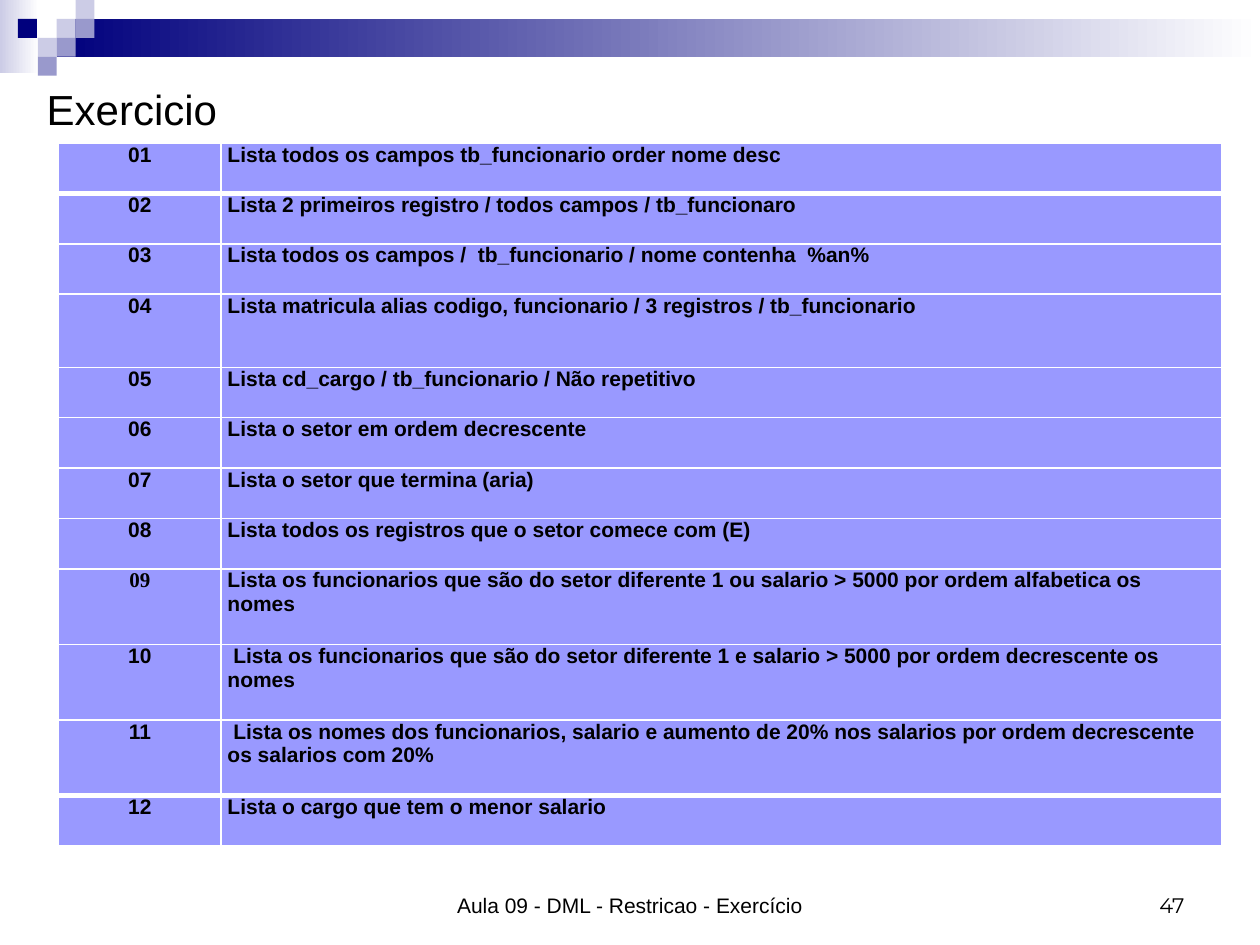
"""Builds the SQL exercise slide: header ornament, title, exercise table and footer."""
from lxml import etree
from pptx import Presentation
from pptx.dml.color import RGBColor
from pptx.enum import shapes, text
from pptx.oxml import ns
from pptx.util import Pt

COLORS = {"navy": "00007D", "pale": "CCCCE6", "mid": "9999CC",
          "cell": "9999FF", "white": "FFFFFF", "ink": "000000"}

TITLE = "Exercicio"
FOOTER = "Aula 09 - DML - Restricao - Exercício"
PAGE = "47"

LOW, MEDIUM, TALL = 28.8, 41.8, 43.2
EXERCISES = [
    ("Lista todos os campos tb_funcionario order nome desc", LOW),
    ("Lista 2 primeiros registro / todos campos / tb_funcionaro", LOW),
    ("Lista todos os campos /  tb_funcionario / nome contenha  %an%", LOW),
    ("Lista matricula alias codigo, funcionario / 3 registros / tb_funcionario", MEDIUM),
    ("Lista cd_cargo / tb_funcionario / Não repetitivo", LOW),
    ("Lista o setor em ordem decrescente", LOW),
    ("Lista o setor que termina (aria)", LOW),
    ("Lista todos os registros que o setor comece com (E)", LOW),
    ("Lista os funcionarios que são do setor diferente 1 ou salario > 5000 "
     "por ordem alfabetica os nomes", TALL),
    (" Lista os funcionarios que são do setor diferente 1 e salario > 5000 "
     "por ordem decrescente os nomes", TALL),
    (" Lista os nomes dos funcionarios, salario e aumento de 20% nos salarios "
     "por ordem decrescente os salarios com 20%", TALL),
    ("Lista o cargo que tem o menor salario", LOW),
]
SERIF_NUMBERS = {"09"}
COLUMNS = (92.9, 571.7)
THICK_RULES = {1, len(EXERCISES) - 1}

SQUARE = 10.8
BANDS = [((0, 0, 22.3, 41.8), "pale"), ((32.4, 10.8, 687.6, 21.6), "navy")]
SQUARES = [(3, 1, "pale"), (4, 0, "pale"), (4, 1, "mid"), (2, 2, "pale"),
           (0.95, 1, "navy"), (3, 2, "mid"), (2, 3, "mid")]


def rgb(name):
    return RGBColor.from_string(COLORS[name])


def write(tf, content, size=12, font="Arial", bold=False, align="LEFT",
          anchor="TOP", insets=(7.2, 3.6)):
    tf.word_wrap = True
    tf.auto_size = text.MSO_AUTO_SIZE.NONE
    tf.vertical_anchor = text.MSO_ANCHOR[anchor]
    tf.margin_left = tf.margin_right = Pt(insets[0])
    tf.margin_top = tf.margin_bottom = Pt(insets[1])
    fill_paragraph(tf.paragraphs[0], content, size, font, bold, align)


def fill_paragraph(p, content, size, font, bold, align):
    p.alignment = text.PP_ALIGN[align]
    r = p.add_run()
    r.text = content
    r.font.size, r.font.name, r.font.bold = Pt(size), font, bold
    r.font.color.rgb = rgb("ink")


def add_block(slide, box, color, fade=False):
    sp = slide.shapes.add_shape(shapes.MSO_SHAPE.RECTANGLE, *map(Pt, box))
    sp.shadow.inherit = False
    sp.line.fill.background()
    if fade:
        sp.fill.gradient()
        sp.fill.gradient_angle = 0
        for stop, name in zip(sp.fill.gradient_stops, (color, "white")):
            stop.color.rgb = rgb(name)
    else:
        sp.fill.solid()
        sp.fill.fore_color.rgb = rgb(color)


def set_borders(cell, row):
    tc_pr = cell._tc.get_or_add_tcPr()
    top, bottom = (3 if edge in THICK_RULES else 1 for edge in (row, row + 1))
    for side, width in (("L", 1), ("R", 1), ("T", top), ("B", bottom)):
        ln = etree.SubElement(tc_pr, ns.qn(f"a:ln{side}"), w=str(Pt(width)))
        fill = etree.SubElement(ln, ns.qn("a:solidFill"))
        etree.SubElement(fill, ns.qn("a:srgbClr"), val=COLORS["white"])


def add_exercises(slide):
    heights = [height for _, height in EXERCISES]
    table = slide.shapes.add_table(
        len(EXERCISES), len(COLUMNS), Pt(33.5), Pt(81.7),
        Pt(sum(COLUMNS)), Pt(sum(heights))).table
    for column, width in zip(table.columns, COLUMNS):
        column.width = Pt(width)
    for i, (exercise, height) in enumerate(EXERCISES):
        table.rows[i].height = Pt(height)
        number = f"{i + 1:02d}"
        font = "Times New Roman" if number in SERIF_NUMBERS else "Arial"
        row = ((number, font, "CENTER"), (exercise, "Arial", "LEFT"))
        for cell, (content, face, align) in zip(table.rows[i].cells, row):
            set_borders(cell, i)
            cell.fill.solid()
            cell.fill.fore_color.rgb = rgb("cell")
            cell.margin_left = cell.margin_right = Pt(3.6)
            cell.margin_top = cell.margin_bottom = 0
            cell.vertical_anchor = text.MSO_ANCHOR.TOP
            fill_paragraph(cell.text_frame.paragraphs[0], content, 12, face, True, align)


def add_text(slide, box, content, **fmt):
    write(slide.shapes.add_textbox(*map(Pt, box)).text_frame, content, **fmt)


def main():
    prs = Presentation()
    prs.slide_width, prs.slide_height = Pt(720), Pt(540)
    slide = prs.slides.add_slide(prs.slide_layouts[5])
    for box, color in BANDS:
        add_block(slide, box, color, fade=True)
    for col, row, color in SQUARES:
        add_block(slide, (col * SQUARE, row * SQUARE, SQUARE, SQUARE), color)
    title = slide.shapes.title
    title.left, title.top, title.width, title.height = map(Pt, (19.5, 8, 648, 108))
    write(title.text_frame, TITLE, size=24, anchor="MIDDLE")
    title.element.getparent().append(title.element)
    add_text(slide, (516, 492, 168, 36), PAGE, font="Montserrat",
             align="RIGHT", anchor="BOTTOM")
    add_text(slide, (246, 492, 228, 36), FOOTER, align="CENTER", anchor="BOTTOM")
    add_exercises(slide)
    prs.save("out.pptx")


if __name__ == "__main__":
    main()
